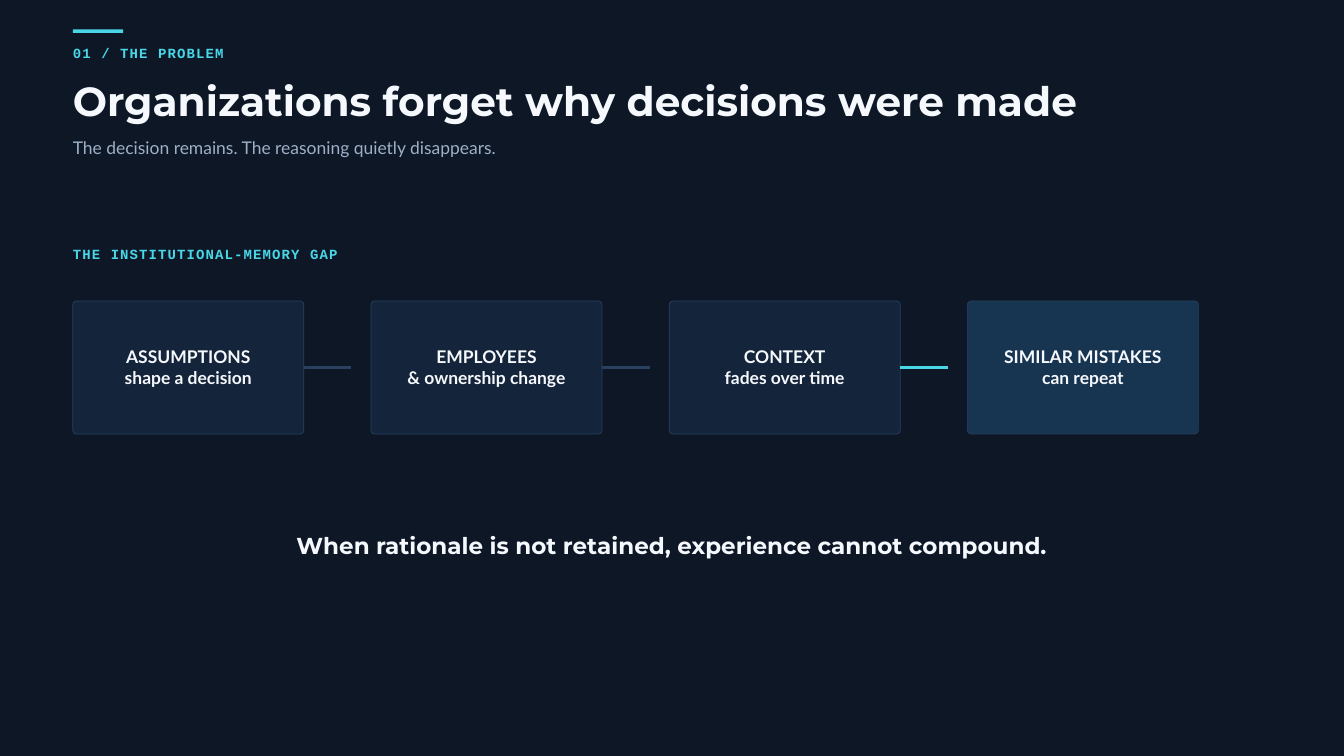
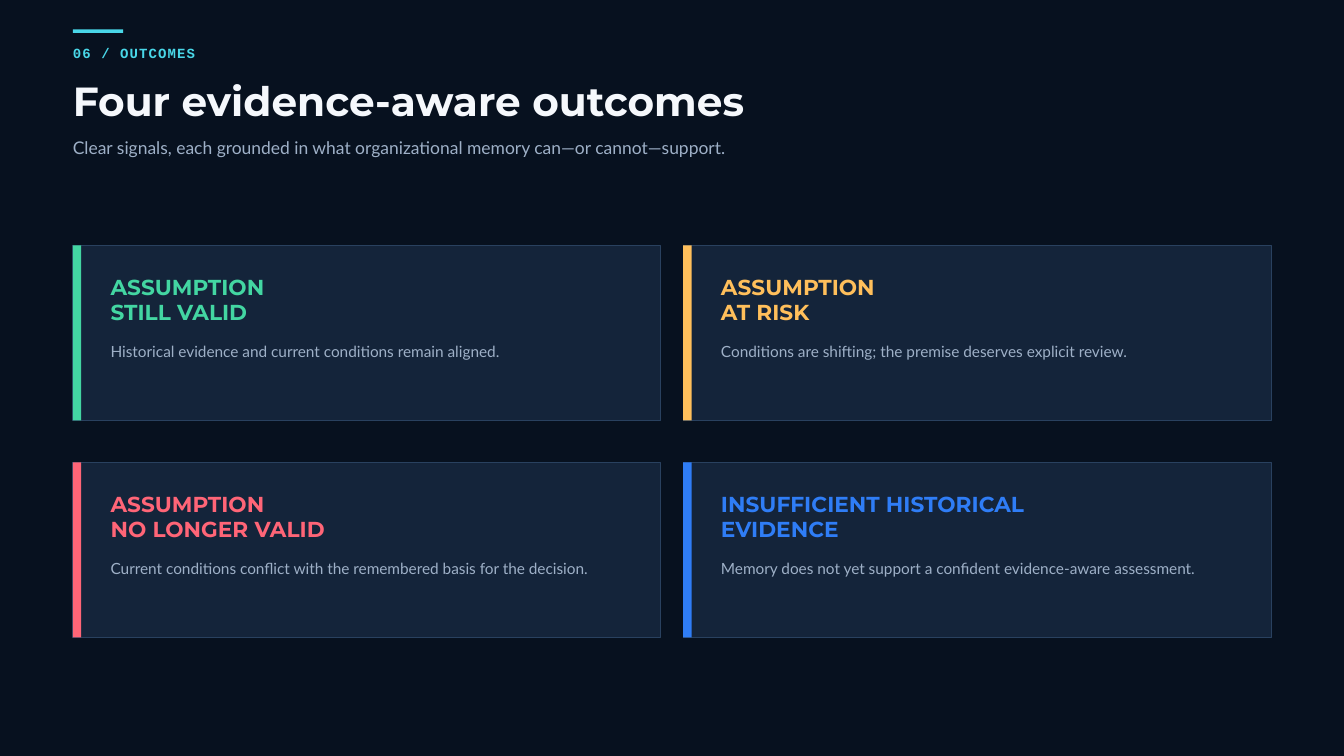
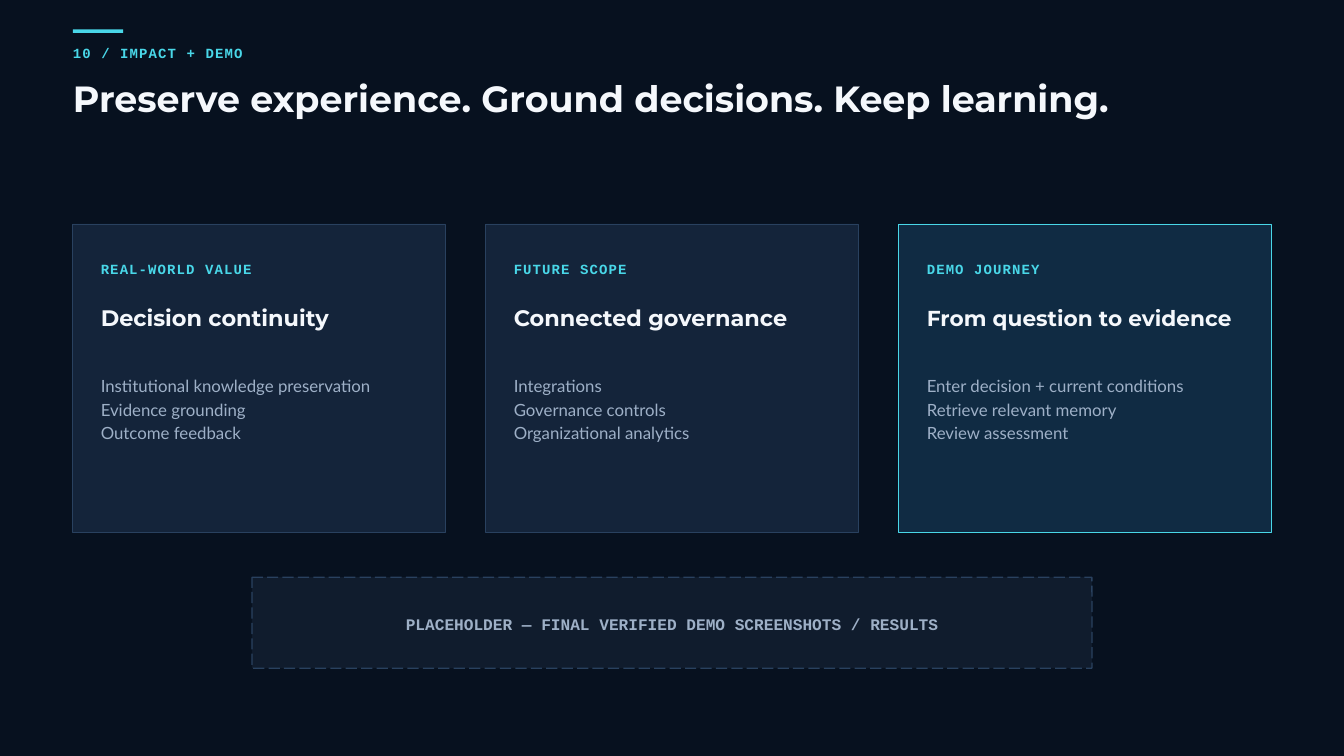
from lxml import etree
from pptx import Presentation
from pptx import util as u
from pptx.dml.color import RGBColor
from pptx.enum import dml, shapes, text
from pptx.oxml import ns

NIGHT = RGBColor(0x07, 0x11, 0x1F)
NAVY = RGBColor(0x0D, 0x17, 0x26)
PANEL = RGBColor(0x14, 0x24, 0x3A)
STEEL = RGBColor(0x17, 0x34, 0x51)
DEEP = RGBColor(0x10, 0x2B, 0x43)
SLATE = RGBColor(0x10, 0x1C, 0x2D)
EDGE = RGBColor(0x29, 0x41, 0x5F)
CYAN = RGBColor(0x49, 0xD7, 0xE8)
WHITE = RGBColor(0xF5, 0xF8, 0xFC)
MUTED = RGBColor(0x9E, 0xB0, 0xC7)
GREEN = RGBColor(0x43, 0xD6, 0xA2)
AMBER = RGBColor(0xFF, 0xBF, 0x5B)
CORAL = RGBColor(0xFF, 0x65, 0x77)
BLUE = RGBColor(0x2F, 0x7D, 0xF6)

HEAD, BODY, MONO = "Montserrat", "Lato", "Courier New"
LEFT = 78


def style(name, size, lead, color, bold=True, track=0, align=text.PP_ALIGN.LEFT):
    """Return one text style as format values."""
    return {
        "font": {"name": name, "size": u.Pt(size), "bold": bold},
        "para": {"line_spacing": u.Pt(lead), "alignment": align},
        "color": color,
        "track": track,
    }


MID = text.PP_ALIGN.CENTER
LABEL = style(MONO, 15, 21, CYAN, track=1.2)
TITLE = style(HEAD, 43.5, 47, WHITE)
LONG = style(HEAD, 39, 42.1, WHITE)
SUB = style(BODY, 18.75, 26.2, MUTED, bold=False)
STEP = style(BODY, 18.75, 21.6, WHITE, align=MID)
CLOSE = style(HEAD, 24.75, 28.5, WHITE, align=MID)
STATE = style(HEAD, 23.25, 26.7, WHITE)
NOTE = style(BODY, 16.5, 22.3, MUTED, bold=False)
TOPIC = style(HEAD, 24, 27.6, WHITE)
ITEM = style(BODY, 18, 25.2, MUTED, bold=False)
HOLD = style(MONO, 17.25, 24.1, MUTED, align=MID)


def apply(item, vals):
    """Set each format value on the item."""
    for key, val in vals.items():
        setattr(item, key, val)


def write(frame, lines, look, pad=0, **vals):
    """Fill a text frame with one styled paragraph per line."""
    sides = ("left", "right", "top", "bottom")
    apply(frame, {f"margin_{side}": u.Pt(pad) for side in sides})
    apply(frame, {"word_wrap": True, **vals})
    for num, line in enumerate(lines):
        para = frame.add_paragraph() if num else frame.paragraphs[0]
        apply(para, look["para"])
        run = para.add_run()
        run.text = line
        apply(run.font, look["font"])
        run.font.color.rgb = look["color"]
        if look["track"]:
            run.font._element.set("spc", str(round(look["track"] * 100)))


def label(parts, left, top, width, lines, look):
    """Place a text box as tall as its lines."""
    high = look["para"]["line_spacing"] * len(lines)
    box = parts.add_textbox(u.Pt(left), u.Pt(top), u.Pt(width), high)
    write(box.text_frame, lines, look, auto_size=text.MSO_AUTO_SIZE.SHAPE_TO_FIT_TEXT)


def panel(parts, box, fill, edge=None, weight=0.75, curve=0):
    """Draw a flat box with an optional edge and corner radius."""
    kinds = shapes.MSO_SHAPE
    kind = kinds.ROUNDED_RECTANGLE if curve else kinds.RECTANGLE
    shape = parts.add_shape(kind, *map(u.Pt, box))
    shape.shadow.inherit = False
    shape.fill.solid()
    shape.fill.fore_color.rgb = fill
    if curve:
        shape.adjustments[0] = curve / min(box[2:])
    if edge:
        shape.line.color.rgb = edge
        shape.line.width = u.Pt(weight)
    else:
        shape.line.fill.background()
    return shape


def group(slide):
    """Open a group and return its shapes."""
    return slide.shapes.add_group_shape().shapes


def start(deck, back, tag, title, sub=None, look=TITLE, top=87):
    """Add a slide with its background and header."""
    slide = deck.slides.add_slide(deck.slide_layouts[6])
    slide.background.fill.solid()
    slide.background.fill.fore_color.rgb = back
    parts = group(slide)
    panel(parts, (LEFT, 31.5, 54, 3.75), CYAN)
    label(parts, LEFT, 45, 195, [tag], LABEL)
    label(parts, LEFT, top, 1125, [title], look)
    if sub:
        label(parts, LEFT, 143.25, 1125, [sub], SUB)
    return slide


def link(slide, left, top, width, color):
    """Draw a level line between two steps."""
    ends = map(u.Pt, (left, top, left + width, top))
    line = slide.shapes.add_connector(shapes.MSO_CONNECTOR.STRAIGHT, *ends)
    line.line.color.rgb = color
    line.line.width = u.Pt(2.25)
    etree.SubElement(line._element.spPr, ns.qn("a:effectLst"))


def chain(slide, box, steps):
    """Lay steps out from the first box, linked to the right."""
    left, top, width, high = box
    last = len(steps) - 1
    for num, lines in enumerate(steps):
        x = left + num * 319.5
        fill = STEEL if num == last else PANEL
        shape = panel(slide.shapes, (x, top, width, high), fill, EDGE, curve=4)
        write(shape.text_frame, lines, STEP, 4, vertical_anchor=text.MSO_ANCHOR.MIDDLE)
        if num < last:
            color = CYAN if num == last - 1 else EDGE
            link(slide, x + width, top + high / 2, 51, color)


def state(slide, box, color, lines, note):
    """Draw an outcome card with a colour bar."""
    left, top, width, high = box
    parts = group(slide)
    panel(parts, box, PANEL, EDGE)
    panel(parts, (left, top, 9, high), color)
    label(parts, left + 40.5, top + 31.5, 525, lines, {**STATE, "color": color})
    label(parts, left + 40.5, top + 101.25, 525, [note], NOTE)


def pillar(slide, box, tag, topic, items, look=TOPIC, fill=PANEL, edge=EDGE):
    """Draw a card with a tag, a topic and its items."""
    left, top, width, high = box
    parts = group(slide)
    panel(parts, box, fill, edge)
    rows = ((36, [tag], LABEL), (87.5, [topic], look), (159, items, ITEM))
    for drop, lines, font in rows:
        label(parts, left + 30, top + drop, 337.5, lines, font)


def problem(deck):
    """Build the problem slide."""
    slide = start(deck, NAVY, "01 / THE PROBLEM",
                  "Organizations forget why decisions were made",
                  "The decision remains. The reasoning quietly disappears.")
    label(slide.shapes, LEFT, 260.25, 450, ["THE INSTITUTIONAL-MEMORY GAP"], LABEL)
    chain(slide, (LEFT, 322.5, 247.5, 142.5), [
        ("ASSUMPTIONS", "shape a decision"),
        ("EMPLOYEES", "& ownership change"),
        ("CONTEXT", "fades over time"),
        ("SIMILAR MISTAKES", "can repeat"),
    ])
    label(slide.shapes, 315, 571, 810,
          ["When rationale is not retained, experience cannot compound."], CLOSE)


def outcomes(deck):
    """Build the outcomes slide."""
    slide = start(deck, NIGHT, "06 / OUTCOMES", "Four evidence-aware outcomes",
                  "Clear signals, each grounded in what organizational memory "
                  "can—or cannot—support.")
    cards = [
        (GREEN, ("ASSUMPTION", "STILL VALID"),
         "Historical evidence and current conditions remain aligned."),
        (AMBER, ("ASSUMPTION", "AT RISK"),
         "Conditions are shifting; the premise deserves explicit review."),
        (CORAL, ("ASSUMPTION", "NO LONGER VALID"),
         "Current conditions conflict with the remembered basis for the decision."),
        (BLUE, ("INSUFFICIENT HISTORICAL", "EVIDENCE"),
         "Memory does not yet support a confident evidence-aware assessment."),
    ]
    for num, card in enumerate(cards):
        row, col = divmod(num, 2)
        state(slide, (LEFT + col * 654, 263 + row * 232.5, 630, 187.5), *card)


def impact(deck):
    """Build the impact and demo slide."""
    slide = start(deck, NIGHT, "10 / IMPACT + DEMO",
                  "Preserve experience. Ground decisions. Keep learning.",
                  look=LONG, top=86.5)
    cards = [
        ("REAL-WORLD VALUE", "Decision continuity",
         ("Institutional knowledge preservation", "Evidence grounding",
          "Outcome feedback")),
        ("FUTURE SCOPE", "Connected governance",
         ("Integrations", "Governance controls", "Organizational analytics")),
        ("DEMO JOURNEY", "From question to evidence",
         ("Enter decision + current conditions", "Retrieve relevant memory",
          "Review assessment"), STATE, DEEP, CYAN),
    ]
    for num, card in enumerate(cards):
        pillar(slide, (LEFT + num * 442.5, 240, 399, 330), *card)
    shape = panel(slide.shapes, (270, 618.5, 900, 97.5), SLATE, EDGE, 1.5, 0.75)
    shape.line.dash_style = dml.MSO_LINE.LONG_DASH
    write(shape.text_frame, ["PLACEHOLDER — FINAL VERIFIED DEMO SCREENSHOTS / RESULTS"],
          HOLD, 4, vertical_anchor=text.MSO_ANCHOR.MIDDLE)


def main():
    """Build and save the deck."""
    deck = Presentation()
    apply(deck, {"slide_width": u.Pt(1440), "slide_height": u.Pt(810)})
    for build in (problem, outcomes, impact):
        build(deck)
    deck.save("out.pptx")


if __name__ == "__main__":
    main()
